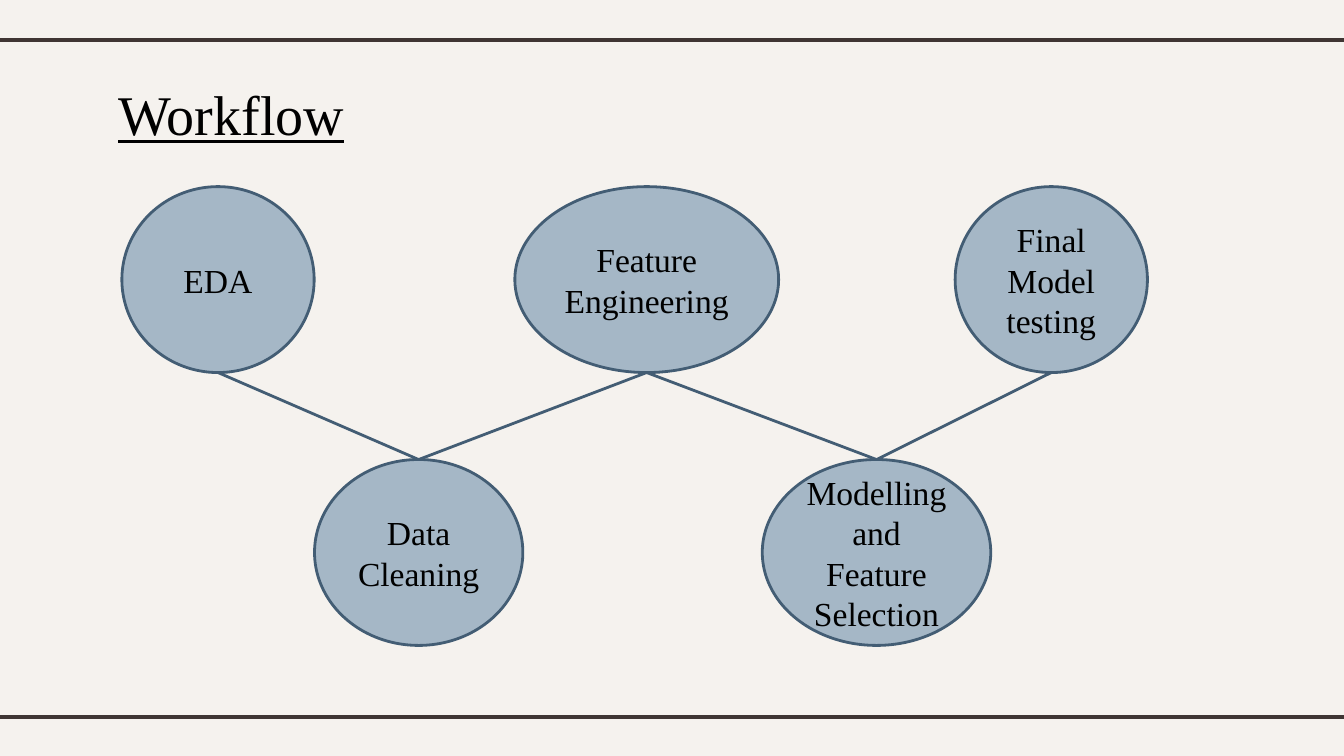
from itertools import pairwise

from lxml import etree
from pptx import Presentation
from pptx.dml.color import RGBColor
from pptx.enum.shapes import MSO_CONNECTOR, MSO_SHAPE
from pptx.enum.text import MSO_ANCHOR, MSO_AUTO_SIZE, PP_ALIGN
from pptx.oxml.ns import qn
from pptx.util import Pt

STRAIGHT = MSO_CONNECTOR.STRAIGHT
OVAL = MSO_SHAPE.OVAL
TOP, MIDDLE = MSO_ANCHOR.TOP, MSO_ANCHOR.MIDDLE
LEFT, CENTER = PP_ALIGN.LEFT, PP_ALIGN.CENTER
NO_AUTOFIT = MSO_AUTO_SIZE.NONE

CREAM = RGBColor(0xF5, 0xF2, 0xEE)
BROWN = RGBColor(0x3F, 0x35, 0x33)
NAVY = RGBColor(0x43, 0x5D, 0x74)
STEEL = RGBColor(0xA5, 0xB7, 0xC6)
BLACK = RGBColor(0, 0, 0)

SLIDE_WIDTH, SLIDE_HEIGHT = 720, 405
OVERHANG = 6
RULE_TOPS = (21.5, 384)
UPPER_TOP, LOWER_TOP, STEP_HEIGHT = 100, 246.2, 99.6
STEPS = (
    ("EDA", 65.3, 103),
    ("Data Cleaning", 168.5, 111.6),
    ("Feature Engineering", 275.8, 141.3),
    ("Modelling and Feature Selection", 408.4, 122.4),
    ("Final Model testing", 511.7, 103),
)


def write_text(shape, text, *, size, align, anchor, insets, underline=False):
    """Fill a shape with one formatted paragraph."""
    frame = shape.text_frame
    frame.word_wrap = True
    frame.auto_size = NO_AUTOFIT
    frame.vertical_anchor = anchor
    frame.margin_left = frame.margin_right = Pt(insets[0])
    frame.margin_top = frame.margin_bottom = Pt(insets[1])
    paragraph = frame.paragraphs[0]
    paragraph.alignment = align
    run = paragraph.add_run()
    run.text = text
    run.font.name = "Times New Roman"
    run.font.size = Pt(size)
    run.font.color.rgb = BLACK
    run.font.underline = underline


class WorkflowSlide:
    """Hold the workflow style and the slide being drawn."""

    def __init__(self, slide):
        self.slide = slide
        self.line_width = 1.5
        slide.background.fill.solid()
        slide.background.fill.fore_color.rgb = CREAM

    def title(self, text, left, top, width, height):
        """Place the title placeholder."""
        shape = self.slide.shapes.title
        shape.left, shape.top = Pt(left), Pt(top)
        shape.width, shape.height = Pt(width), Pt(height)
        write_text(shape, text, size=30, align=LEFT, anchor=TOP,
                   insets=(7.2, 7.2), underline=True)

    def line(self, shapes, start, end, color, width):
        """Draw a straight line between two points."""
        connector = shapes.add_connector(
            STRAIGHT, *(Pt(value) for value in (*start, *end)))
        connector.line.color.rgb = color
        connector.line.width = Pt(width)
        etree.SubElement(connector._element.spPr, qn("a:effectLst"))

    def step(self, shapes, text, left, top, width):
        """Draw one workflow step as an ellipse."""
        shape = shapes.add_shape(OVAL, Pt(left), Pt(top), Pt(width), Pt(STEP_HEIGHT))
        shape.shadow.inherit = False
        shape.fill.solid()
        shape.fill.fore_color.rgb = STEEL
        shape.line.color.rgb = NAVY
        shape.line.width = Pt(self.line_width)
        write_text(shape, text, size=18, align=CENTER, anchor=MIDDLE, insets=(5.4, 2.7))

    def workflow(self, steps):
        """Draw zigzag steps joined by lines, as one group."""
        shapes = self.slide.shapes.add_group_shape().shapes
        joints = [(left + width / 2, LOWER_TOP if index % 2 else UPPER_TOP + STEP_HEIGHT)
                  for index, (_, left, width) in enumerate(steps)]
        for start, end in pairwise(joints):
            self.line(shapes, start, end, NAVY, self.line_width)
        for index, (text, left, width) in enumerate(steps):
            self.step(shapes, text, left, LOWER_TOP if index % 2 else UPPER_TOP, width)


def main():
    """Build and save the presentation."""
    presentation = Presentation()
    presentation.slide_width = Pt(SLIDE_WIDTH)
    presentation.slide_height = Pt(SLIDE_HEIGHT)
    slide = presentation.slides.add_slide(presentation.slide_layouts[5])
    page = WorkflowSlide(slide)
    for top in RULE_TOPS:
        page.line(slide.shapes, (-OVERHANG, top), (SLIDE_WIDTH + OVERHANG, top), BROWN, 2.25)
    page.title("Workflow", 56.2, 35.3, 160.6, 45.4)
    page.workflow(STEPS)
    presentation.save("out.pptx")


main()
